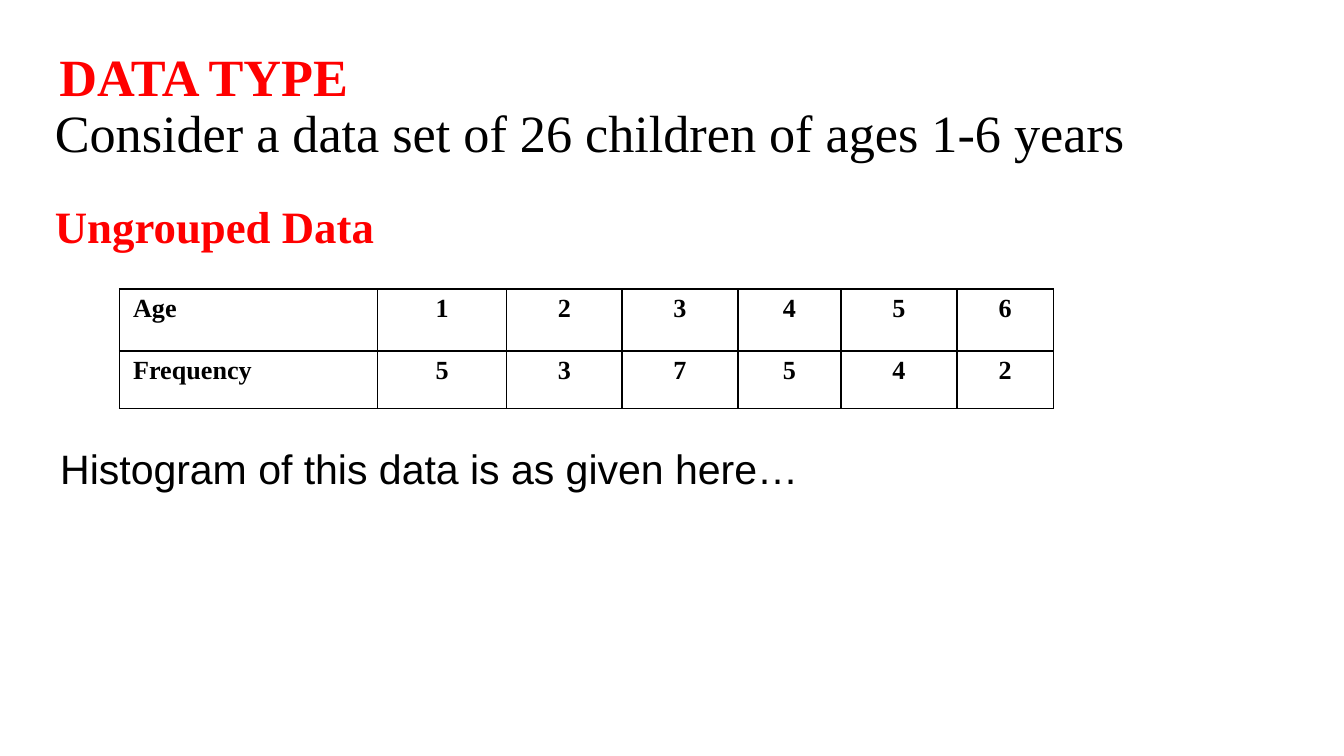
import pptx
import pptx.dml.color
import pptx.enum.text
import pptx.oxml
import pptx.oxml.ns
import pptx.util

WIDTH = 10
HEIGHT = WIDTH * 9 / 16
SERIF, SANS = "Times New Roman", "Arial"
RED, BLACK = "FF0000", "000000"

# (left, top, width, height), runs of (text, font, size, colour, bold)
TEXTS = [
    ((0.23, 0.17, 2.58, 0.71), [(" ", "Calibri", 36, BLACK, False),
                                ("DATA TYPE", SERIF, 28, RED, True)]),
    ((0.31, 0.7, 8.67, 0.57),
     [("Consider a data set of 26 children of ages 1-6 years", SERIF, 28, BLACK, False)]),
    ((0.31, 1.43, 2.72, 0.5), [("Ungrouped Data", SERIF, 24, RED, True)]),
    ((0.35, 3.25, 6.96, 0.47),
     [("Histogram of this data is as given here…", SANS, 22, BLACK, False)]),
]

AGES = [
    ("Age", 1, 2, 3, 4, 5, 6),
    ("Frequency", 5, 3, 7, 5, 4, 2),
]
TABLE_LEFT, TABLE_TOP = 0.89, 2.15
COLUMNS = [1.92, 0.96, 0.86, 0.86, 0.77, 0.86, 0.72]
ROWS = [0.46, 0.43]


def inches(*lengths):
    return [pptx.util.Inches(length) for length in lengths]


def color(value):
    return pptx.dml.color.RGBColor.from_string(value)


def add_span(para, text, font, size, ink, bold):
    span = para.add_run()
    span.text = text
    span.font.name = font
    span.font.size = pptx.util.Pt(size)
    span.font.color.rgb = color(ink)
    span.font.bold = bold


def add_text(page, place, spans):
    box = page.shapes.add_textbox(*inches(*place))
    box.text_frame.word_wrap = True
    for span in spans:
        add_span(box.text_frame.paragraphs[0], *span)


def add_borders(cell, ink):
    """Draw a one-point line on all four sides of the cell."""
    properties = cell._tc.get_or_add_tcPr()
    for side in ("lnL", "lnR", "lnT", "lnB"):
        properties.append(pptx.oxml.parse_xml(
            f'<a:{side} {pptx.oxml.ns.nsdecls("a")} w="{pptx.util.Pt(1)}">'
            f'<a:solidFill><a:srgbClr val="{ink}"/></a:solidFill></a:{side}>'))


def add_age_table(page):
    place = inches(TABLE_LEFT, TABLE_TOP, sum(COLUMNS), sum(ROWS))
    table = page.shapes.add_table(len(ROWS), len(COLUMNS), *place).table
    for column, width in zip(table.columns, inches(*COLUMNS)):
        column.width = width
    for row, height, values in zip(table.rows, inches(*ROWS), AGES):
        row.height = height
        for index, (cell, value) in enumerate(zip(row.cells, values)):
            add_borders(cell, BLACK)
            cell.fill.background()
            cell.margin_left, cell.margin_right = inches(0.1, 0.1)
            cell.margin_top, cell.margin_bottom = inches(0.04, 0.04)
            para = cell.text_frame.paragraphs[0]
            if index:
                para.alignment = pptx.enum.text.PP_ALIGN.CENTER
            add_span(para, str(value), SERIF, 14, BLACK, True)


def main():
    deck = pptx.Presentation()
    deck.slide_width, deck.slide_height = inches(WIDTH, HEIGHT)
    page = deck.slides.add_slide(deck.slide_layouts[6])
    for place, spans in TEXTS:
        add_text(page, place, spans)
    add_age_table(page)
    deck.save("out.pptx")


if __name__ == "__main__":
    main()
